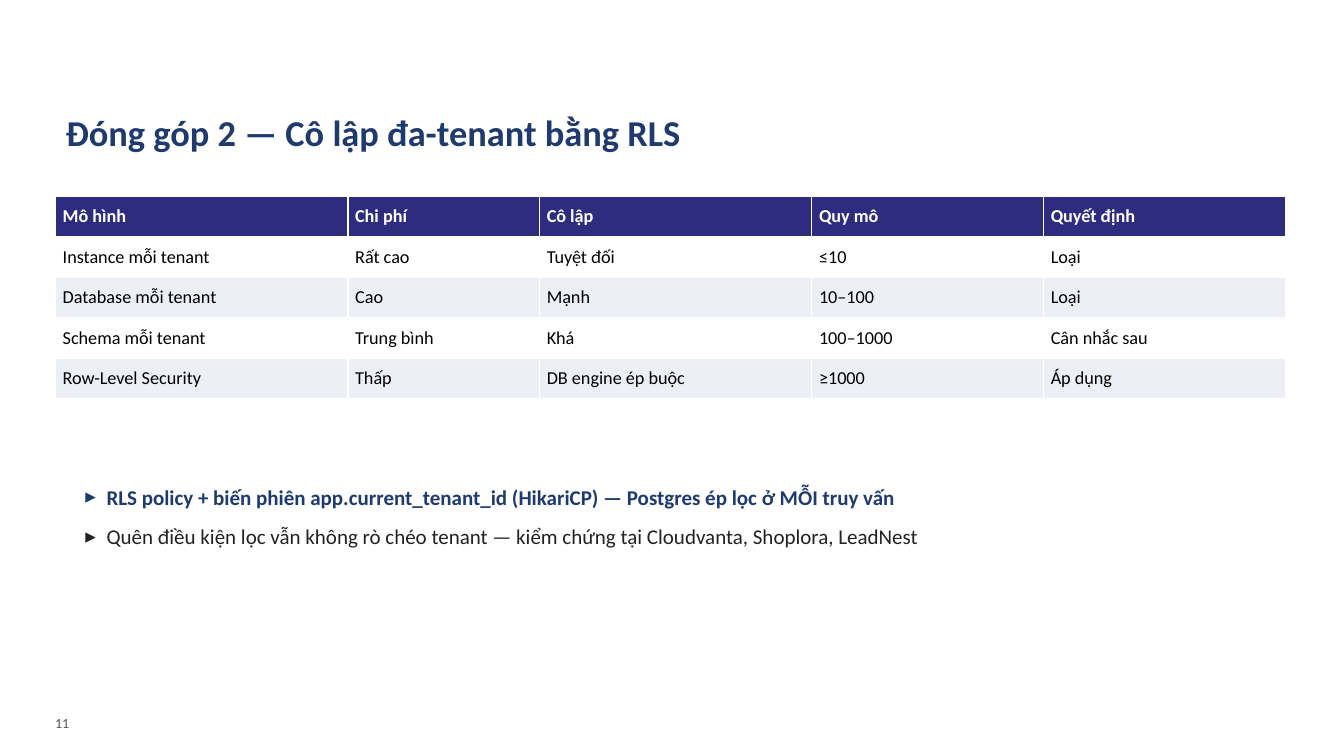
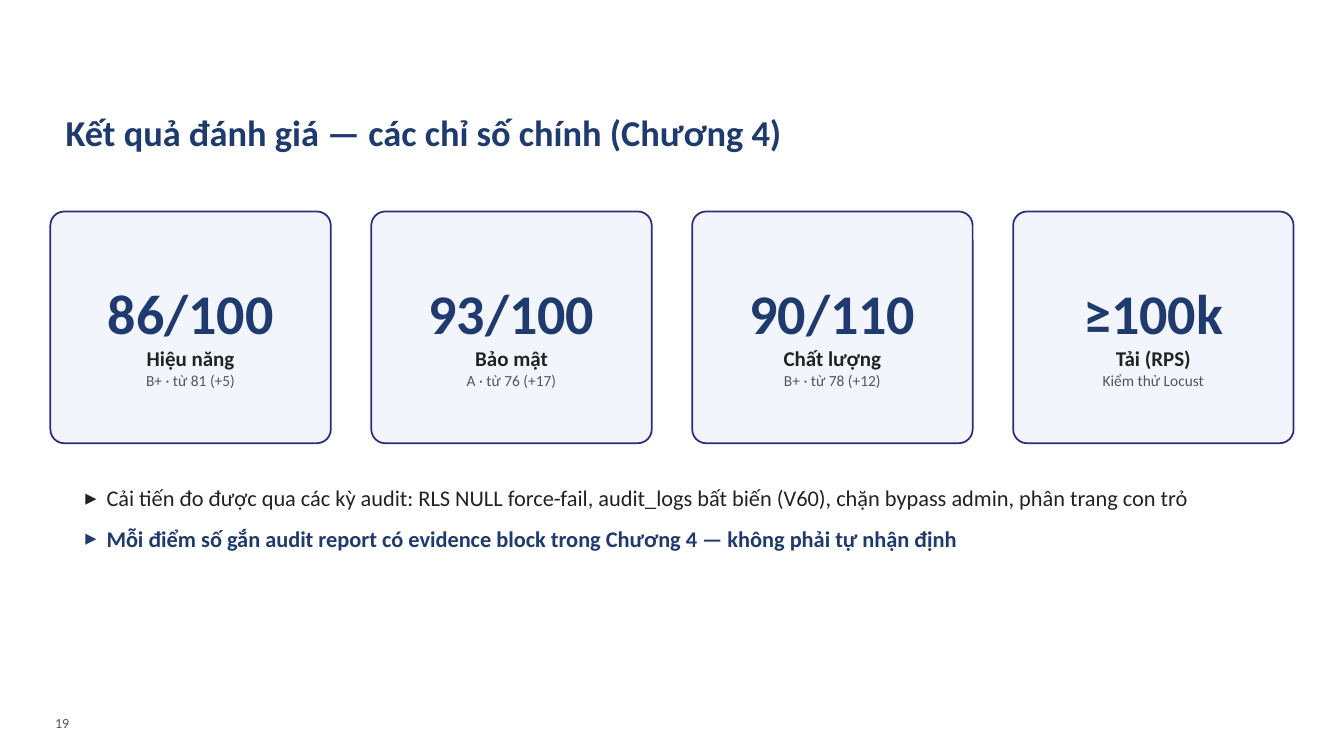
import pptx
import pptx.dml.color
import pptx.enum.shapes
import pptx.enum.text
import pptx.oxml
import pptx.oxml.ns
import pptx.util

Cm, Pt = pptx.util.Cm, pptx.util.Pt
ALIGN, ANCHOR = pptx.enum.text.PP_ALIGN, pptx.enum.text.MSO_ANCHOR

WIDTH, HEIGHT = 33.87, 19.05
FONT = "Calibri"
COLORS = {
    "title": "1F3A6E",
    "accent": "2E2C7E",
    "text": "222222",
    "muted": "555555",
    "card": "F2F6FC",
    "band": "ECEFF6",
    "white": "FFFFFF",
    "black": "000000",
}


def rgb(name):
    return pptx.dml.color.RGBColor.from_string(COLORS[name])


class Deck:
    """Holds the shared style and the current slide."""

    def __init__(self):
        self.prs = pptx.Presentation()
        self.prs.slide_width, self.prs.slide_height = Cm(WIDTH), Cm(HEIGHT)
        self.s = None

    def run(self, p, text, size, color, bold=False):
        r = p.add_run()
        r.text = text
        r.font.name, r.font.size, r.font.bold = FONT, Pt(size), bold
        r.font.color.rgb = rgb(color)

    def place(self, sp, left, top, width, height):
        sp.left, sp.top, sp.width, sp.height = map(Cm, (left, top, width, height))
        tf = sp.text_frame
        tf.word_wrap = True
        tf.auto_size = pptx.enum.text.MSO_AUTO_SIZE.NONE
        tf.vertical_anchor = ANCHOR.TOP
        return tf

    def slide(self, title, number):
        self.s = self.prs.slides.add_slide(self.prs.slide_layouts[1])
        # Title
        tf = self.place(self.s.shapes.title, 1.4, 2.64, 30.99, 1.68)
        p = tf.paragraphs[0]
        p.alignment = ALIGN.LEFT
        self.run(p, title, 26, "title", True)
        # Page number
        sp = self.s.shapes.add_textbox(0, 0, 0, 0)
        tf = self.place(sp, 1.14, 17.88, 3.05, 0.81)
        self.run(tf.paragraphs[0], number, 10, "muted")

    def bullets(self, items, size):
        """Each item is (text, highlighted)."""
        tf = self.place(self.s.placeholders[1], 1.9, 12.07, 30.23, 4.32)
        for i, (text, strong) in enumerate(items):
            p = tf.add_paragraph() if i else tf.paragraphs[0]
            pPr = p._p.get_or_add_pPr()
            pPr.set("marL", str(Cm(0.53)))
            pPr.set("indent", str(-Cm(0.53)))
            bu = pptx.oxml.parse_xml(
                '<a:buChar %s char="▸"/>' % pptx.oxml.ns.nsdecls("a"))
            pPr.append(bu)
            p.space_before, p.space_after = Pt(0), Pt(10)
            self.run(p, text, size, "title" if strong else "text", strong)

    def table(self, rows, widths, left, top, row_height):
        sp = self.s.shapes.add_table(
            len(rows), len(widths), Cm(left), Cm(top),
            Cm(sum(widths)), Cm(row_height * len(rows)))
        tbl = sp.table
        for col, width in zip(tbl.columns, widths):
            col.width = Cm(width)
        for i, row in enumerate(rows):
            fill = "accent" if i == 0 else "white" if i % 2 else "band"
            for j, text in enumerate(row):
                cell = tbl.cell(i, j)
                cell.fill.solid()
                cell.fill.fore_color.rgb = rgb(fill)
                cell.vertical_anchor = ANCHOR.MIDDLE
                cell.margin_left = cell.margin_right = Cm(0.18)
                cell.margin_top = cell.margin_bottom = Cm(0.05)
                self.run(cell.text_frame.paragraphs[0], text, 13,
                         "black" if i else "white", i == 0)

    def card(self, left, top, width, height, value, label, note):
        sp = self.s.shapes.add_shape(
            pptx.enum.shapes.MSO_SHAPE.ROUNDED_RECTANGLE, 0, 0, 0, 0)
        tf = self.place(sp, left, top, width, height)
        sp.adjustments[0] = 0.06
        sp.shadow.inherit = False
        sp.fill.solid()
        sp.fill.fore_color.rgb = rgb("card")
        sp.line.color.rgb = rgb("accent")
        sp.line.width = Pt(1.25)
        tf.vertical_anchor = ANCHOR.MIDDLE
        tf.margin_top, tf.margin_bottom = Cm(0.46), Cm(0.13)
        lines = [(value, 40, "title", True), (label, 15, "text", True),
                 (note, 11, "muted", False)]
        for i, line in enumerate(lines):
            p = tf.add_paragraph() if i else tf.paragraphs[0]
            p.alignment = ALIGN.CENTER
            self.run(p, *line)

    def cards(self, items, top, height, margin=1.27, gap=1.02):
        n = len(items)
        width = (WIDTH - 2 * margin - (n - 1) * gap) / n
        for i, item in enumerate(items):
            self.card(margin + i * (width + gap), top, width, height, *item)


def main():
    deck = Deck()

    # Tenant isolation
    deck.slide("Đóng góp 2 — Cô lập đa-tenant bằng RLS", "11")
    deck.table([
        ("Mô hình", "Chi phí", "Cô lập", "Quy mô", "Quyết định"),
        ("Instance mỗi tenant", "Rất cao", "Tuyệt đối", "≤10", "Loại"),
        ("Database mỗi tenant", "Cao", "Mạnh", "10–100", "Loại"),
        ("Schema mỗi tenant", "Trung bình", "Khá", "100–1000", "Cân nhắc sau"),
        ("Row-Level Security", "Thấp", "DB engine ép buộc", "≥1000", "Áp dụng"),
    ], (7.37, 4.83, 6.86, 5.84, 6.1), 1.4, 4.95, 1.02)
    deck.bullets([
        ("RLS policy + biến phiên app.current_tenant_id (HikariCP) — "
         "Postgres ép lọc ở MỖI truy vấn", True),
        ("Quên điều kiện lọc vẫn không rò chéo tenant — "
         "kiểm chứng tại Cloudvanta, Shoplora, LeadNest", False),
    ], 15)

    # Evaluation results
    deck.slide("Kết quả đánh giá — các chỉ số chính (Chương 4)", "19")
    deck.cards([
        ("86/100", "Hiệu năng", "B+ · từ 81 (+5)"),
        ("93/100", "Bảo mật", "A · từ 76 (+17)"),
        ("90/110", "Chất lượng", "B+ · từ 78 (+12)"),
        ("≥100k", "Tải (RPS)", "Kiểm thử Locust"),
    ], 5.33, 5.84)
    deck.bullets([
        ("Cải tiến đo được qua các kỳ audit: RLS NULL force-fail, audit_logs "
         "bất biến (V60), chặn bypass admin, phân trang con trỏ", False),
        ("Mỗi điểm số gắn audit report có evidence block trong Chương 4 — "
         "không phải tự nhận định", True),
    ], 16)

    deck.prs.save("out.pptx")


if __name__ == "__main__":
    main()
